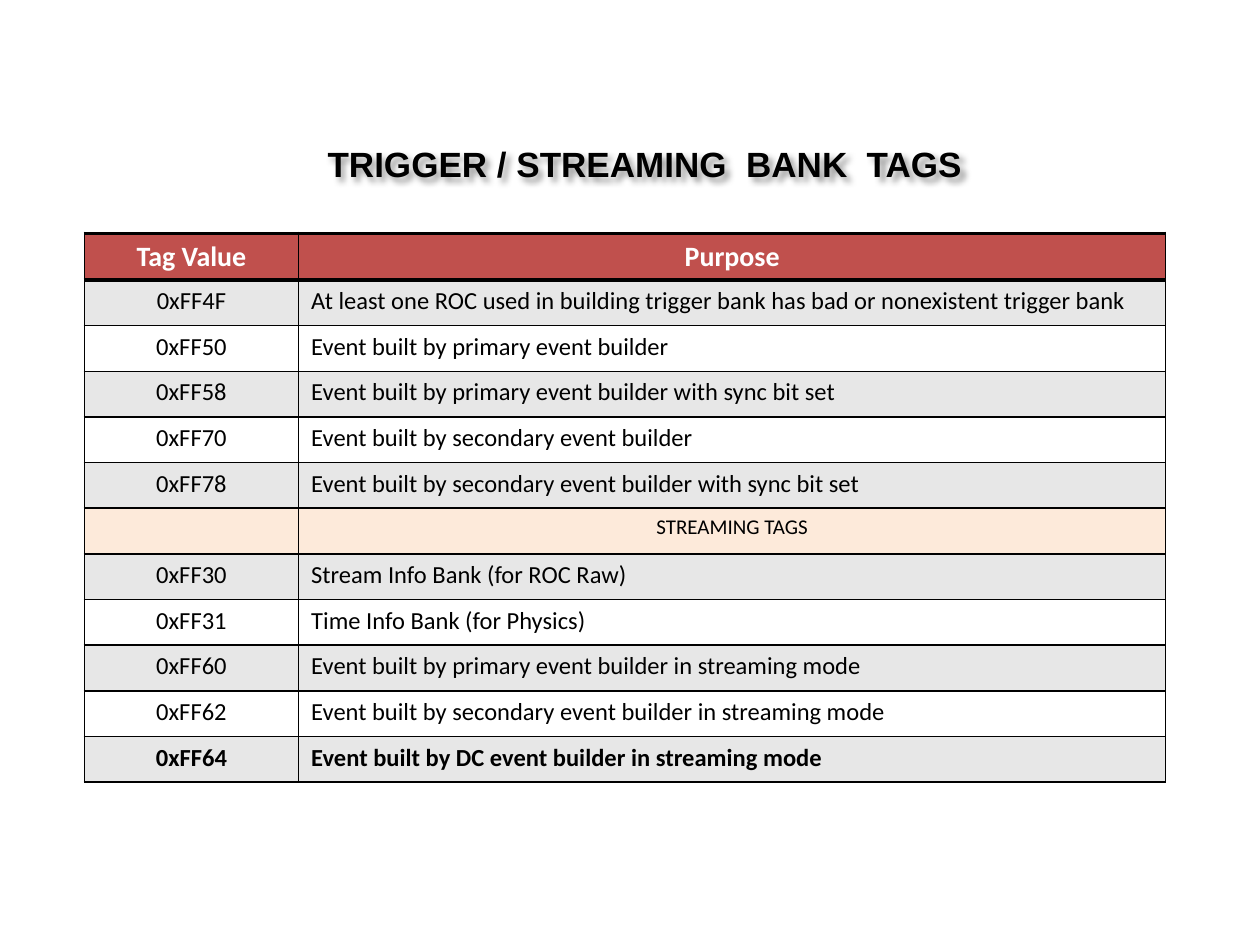
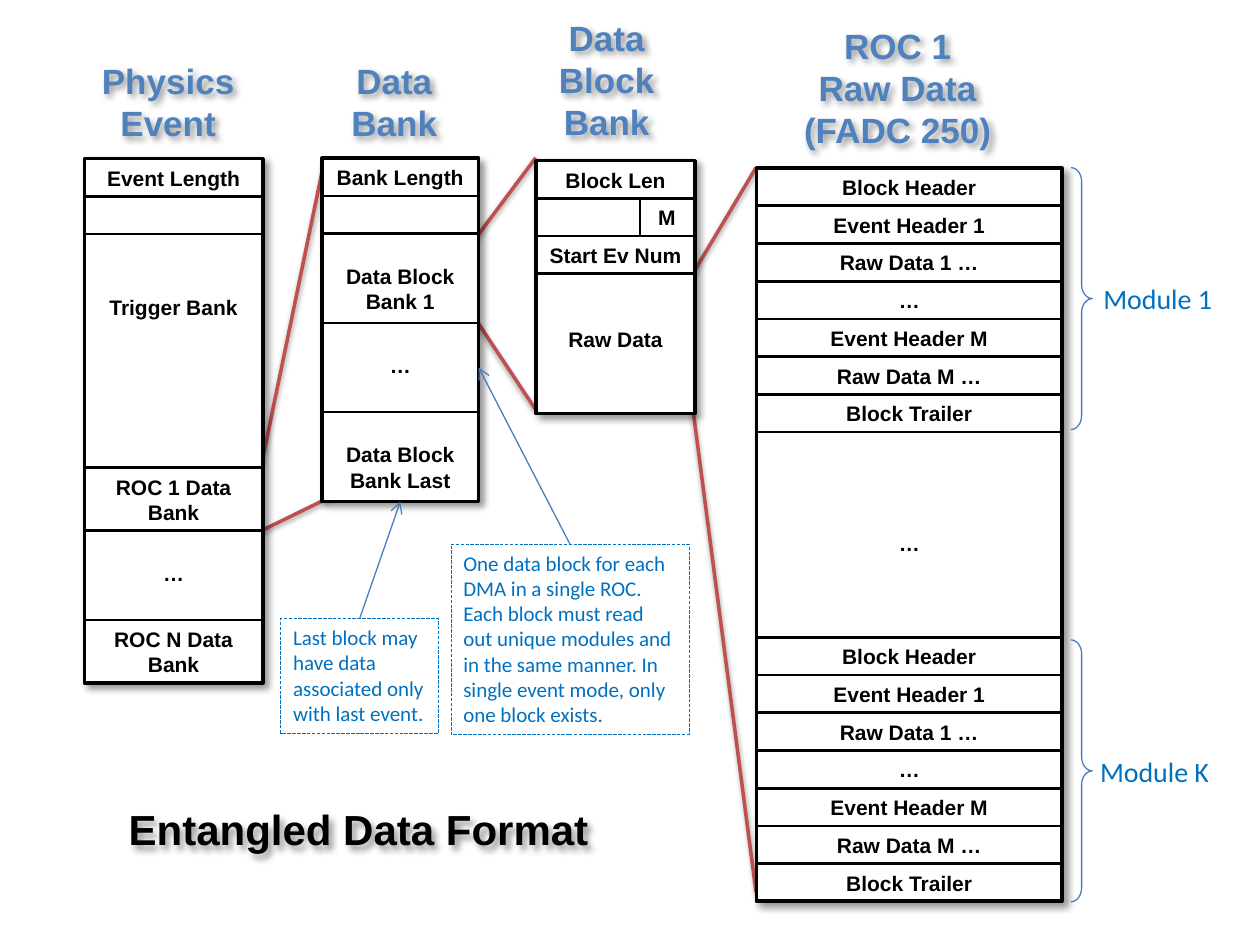
from lxml import etree
from pptx import Presentation
from pptx import util as u
from pptx.dml.color import RGBColor
from pptx.enum import dml, shapes, text
from pptx.oxml.ns import qn

COLORS = {
    "black": "000000", "white": "FFFFFF", "red": "C0504D", "gray": "E7E7E7",
    "peach": "FDEADA", "heading": "4F81BD", "note": "0070C0", "arrow": "4B7EBC",
}
# opacity %, blur pt, distance pt, direction in degrees
SOFT_SHADOW = (40, 4, 3, 45)
LINE_SHADOW = (38, 3.1, 1.6, 90)
LEFT, CENTER, RIGHT = text.PP_ALIGN.LEFT, text.PP_ALIGN.CENTER, text.PP_ALIGN.RIGHT
INSET = 0.13
ROW = 0.76

TAGS = [
    ("0xFF4F", "At least one ROC used in building trigger bank has bad or nonexistent trigger bank"),
    ("0xFF50", "Event built by primary event builder"),
    ("0xFF58", "Event built by primary event builder with sync bit set"),
    ("0xFF70", "Event built by secondary event builder"),
    ("0xFF78", "Event built by secondary event builder with sync bit set"),
    ("", "STREAMING TAGS"),
    ("0xFF30", "Stream Info Bank (for ROC Raw)"),
    ("0xFF31", "Time Info Bank (for Physics)"),
    ("0xFF60", "Event built by primary event builder in streaming mode"),
    ("0xFF62", "Event built by secondary event builder in streaming mode"),
    ("0xFF64", "Event built by DC event builder in streaming mode"),
]

# Each row of a stack: words, height, space above the words
MODULE = [(words, ROW, INSET) for words in (
    "Block Header", "Event Header 1", "Raw Data 1 …", "…",
    "Event Header M", "Raw Data M …", "Block Trailer")]
PHYSICS_EVENT = [
    ("Event Length", ROW, INSET), ("", ROW, INSET), ("Trigger Bank", 4.71, 1.22),
    ("ROC 1 Data Bank", 1.27, INSET), ("…", 1.8, 0.6), ("ROC N Data Bank", 1.27, INSET),
]
DATA_BANK = [
    ("Bank Length", ROW, INSET), ("", ROW, INSET), ("Data Block Bank 1", 1.8, 0.6),
    ("…", 1.8, 0.6), ("Data Block Bank Last", 1.8, 0.6),
]
BLOCK_BANK = [
    ("Block Len", ROW, INSET), ("M", ROW, INSET), ("Start Ev Num", ROW, INSET),
    ("Raw Data", 2.82, 1.07),
]
ROC_RAW_DATA = MODULE + [("…", 4.14, 1.98)] + MODULE

HEADINGS = [
    ("Physics\nEvent", 1.7, 1.07, 3.38, 1.96),
    ("Data\nBank", 6.78, 1.07, 2.34, 1.96),
    ("Data\nBlock\nBank", 10.92, 0.2, 2.62, 2.82),
    ("ROC 1\nRaw Data\n(FADC 250)", 15.77, 0.36, 4.65, 2.82),
]
ZOOM_LINES = [
    (13.97, 8.26, 15.24, 17.98), (13.97, 5.51, 15.24, 3.38),
    (9.53, 6.35, 10.8, 8.26), (9.53, 4.88, 10.8, 3.18),
    (4.65, 11, 6.78, 9.96), (5.28, 9.32, 6.55, 3.18),
]


def rgb(name):
    return RGBColor.from_string(COLORS[name])


def cm(*lengths):
    return [u.Cm(length) for length in lengths]


def set_shadow(shape, shadow=None):
    """Give the shape this shadow, or none at all."""
    props = shape.element.spPr
    effects = props.find(qn("a:effectLst"))
    if effects is None:
        effects = etree.SubElement(props, qn("a:effectLst"))
    if shadow:
        opacity, blur, distance, direction = shadow
        outer = etree.SubElement(
            effects, qn("a:outerShdw"), blurRad=str(u.Pt(blur)), dist=str(u.Pt(distance)),
            dir=str(direction * 60000), algn="tl", rotWithShape="0")
        tint = etree.SubElement(outer, qn("a:srgbClr"), val=COLORS["black"])
        etree.SubElement(tint, qn("a:alpha"), val=str(opacity * 1000))


def write(frame, words, size, color="black", bold=True, font="Arial", align=CENTER):
    frame.text = words
    for paragraph in frame.paragraphs:
        paragraph.alignment = align
        paragraph.font.size = u.Pt(size)
        paragraph.font.bold = bold
        paragraph.font.name = font
        paragraph.font.color.rgb = rgb(color)


def add_title(slide, words, size, left, top, width, height):
    title = slide.shapes.title
    title.left, title.top, title.width, title.height = cm(left, top, width, height)
    title.text_frame.auto_size = text.MSO_AUTO_SIZE.NONE
    title.text_frame.vertical_anchor = text.MSO_ANCHOR.TOP
    write(title.text_frame, words, size, align=LEFT)
    set_shadow(title, SOFT_SHADOW)


def add_label(slide, words, left, top, width, height, **style):
    label = slide.shapes.add_textbox(*cm(left, top, width, height))
    label.text_frame.word_wrap = True
    write(label.text_frame, words, **style)
    return label


def add_outline(slide, kind, left, top, width, height, color, weight, fill=None):
    shape = slide.shapes.add_shape(kind, *cm(left, top, width, height))
    set_shadow(shape)
    if fill:
        shape.fill.solid()
        shape.fill.fore_color.rgb = rgb(fill)
    else:
        shape.fill.background()
    shape.line.color.rgb = rgb(color)
    shape.line.width = u.Pt(weight)
    return shape


def add_box(slide, *place, **look):
    return add_outline(slide, shapes.MSO_SHAPE.RECTANGLE, *place, **look)


def add_stack(slide, left, top, width, rows):
    """Draw a framed column of cells and return the cells."""
    total = sum(height for _, height, _ in rows)
    frame = add_box(slide, left, top, width, total, color="black", weight=2, fill="white")
    set_shadow(frame, SOFT_SHADOW)
    cells = []
    for words, height, space in rows:
        cell = add_box(slide, left, top, width, height, color="black", weight=1.5)
        if words:
            cell.text_frame.vertical_anchor = text.MSO_ANCHOR.TOP
            cell.text_frame.margin_top = u.Cm(space)
            write(cell.text_frame, words, 12)
        cells.append(cell)
        top += height
    return cells


def add_line(slide, ends, color, weight, shadow=None):
    line = slide.shapes.add_connector(shapes.MSO_CONNECTOR.STRAIGHT, *cm(*ends))
    line.line.color.rgb = rgb(color)
    line.line.width = u.Pt(weight)
    set_shadow(line, shadow)
    return line


def add_note(slide, words, place, target, side):
    """Add a dashed note with an arrow to one side of the target."""
    note = add_box(slide, *place, color="note", weight=0.25)
    note.line.dash_style = dml.MSO_LINE.LONG_DASH
    note.text_frame.vertical_anchor = text.MSO_ANCHOR.TOP
    write(note.text_frame, words, 12, "note", False, "Calibri", LEFT)
    arrow = add_line(slide, (0, 0, 1, 1), "arrow", 0.75)
    arrow.begin_connect(note, 0)
    arrow.end_connect(target, side)
    etree.SubElement(arrow.line._get_or_add_ln(), qn("a:tailEnd"), type="arrow")


def add_module_brace(slide, words, top, label_left, label_width):
    brace = add_outline(slide, shapes.MSO_SHAPE.RIGHT_BRACE, 21.59, top, 0.43, 5.28,
                        color="arrow", weight=0.75)
    brace.adjustments[0] = 0.65
    add_label(slide, words, label_left, top + 2.18, label_width, 0.94,
              size=16, color="note", bold=False, font="Calibri")


def format_cell(cell, words, fill, top_border=1, bottom_border=1, **style):
    props = cell._tc.get_or_add_tcPr()
    for side, weight in zip("LRTB", (1, 1, top_border, bottom_border)):
        border = etree.SubElement(props, qn(f"a:ln{side}"), w=str(u.Pt(weight)))
        ink = etree.SubElement(border, qn("a:solidFill"))
        etree.SubElement(ink, qn("a:srgbClr"), val=COLORS["black"])
    cell.fill.solid()
    cell.fill.fore_color.rgb = rgb(fill)
    if words:
        write(cell.text_frame, words, font="Calibri", **style)
    else:
        cell.margin_top = cell.margin_bottom = 0


def add_tag_table(slide):
    count = len(TAGS) + 1
    table = slide.shapes.add_table(count, 2, *cm(1.7, 4.7, 21.8, 0.92 * count)).table
    table.columns[0].width, table.columns[1].width = cm(4.32, 17.48)
    for row in table.rows:
        row.height = u.Cm(0.92)
    for column, words in enumerate(("Tag Value", "Purpose")):
        format_cell(table.cell(0, column), words, "red", 2, 2, size=16, color="white")
    for number, (tag, purpose) in enumerate(TAGS, 1):
        is_section = not tag
        fill = "peach" if is_section else "gray" if number % 2 else "white"
        style = {
            "size": 12 if is_section else 14,
            "bold": number == len(TAGS),
            "top_border": 2 if number == 1 else 1,
        }
        format_cell(table.cell(number, 0), tag, fill, **style)
        format_cell(table.cell(number, 1), purpose, fill,
                    align=CENTER if is_section else LEFT, **style)


def build_tags_slide(slide):
    add_title(slide, "TRIGGER / STREAMING  BANK  TAGS", 20, 6.35, 2.74, 13.54, 1.12)
    add_tag_table(slide)


def build_format_slide(slide):
    add_title(slide, "Entangled Data Format", 24, 2.34, 16.08, 10.16, 1.27)
    for ends in ZOOM_LINES:
        add_line(slide, ends, "red", 2, LINE_SHADOW)
    for words, *place in HEADINGS:
        heading = add_label(slide, words, *place, size=20, color="heading")
        set_shadow(heading, SOFT_SHADOW)

    add_stack(slide, 1.7, 3.2, 3.6, PHYSICS_EVENT)
    *_, middle_block, last_block = add_stack(slide, 6.49, 3.19, 3.16, DATA_BANK)
    block_count = add_stack(slide, 10.81, 3.24, 3.2, BLOCK_BANK)[1]
    block_count.text_frame.paragraphs[0].alignment = RIGHT
    block_count.text_frame.margin_right = u.Cm(0.39)
    add_line(slide, (12.9, 4, 12.9, 4.76), "black", 1.5)
    add_stack(slide, 15.25, 3.39, 6.16, ROC_RAW_DATA)

    add_module_brace(slide, "Module 1", 3.38, 21.97, 2.74)
    add_module_brace(slide, "Module K", 12.9, 21.79, 2.97)
    add_note(slide, "One data block for each DMA in a single ROC. Each block must read out "
             "unique modules and in the same manner. In single event mode, only one block "
             "exists.", (9.09, 10.97, 4.8, 3.84), middle_block, 3)
    add_note(slide, "Last block may have data associated only with last event.",
             (5.66, 12.47, 3.18, 2.31), last_block, 2)


def main():
    deck = Presentation()
    deck.slide_width, deck.slide_height = cm(25.4, 19.05)
    title_only = deck.slide_layouts[5]
    for build in (build_tags_slide, build_format_slide):
        build(deck.slides.add_slide(title_only))
    deck.save("out.pptx")


if __name__ == "__main__":
    main()
